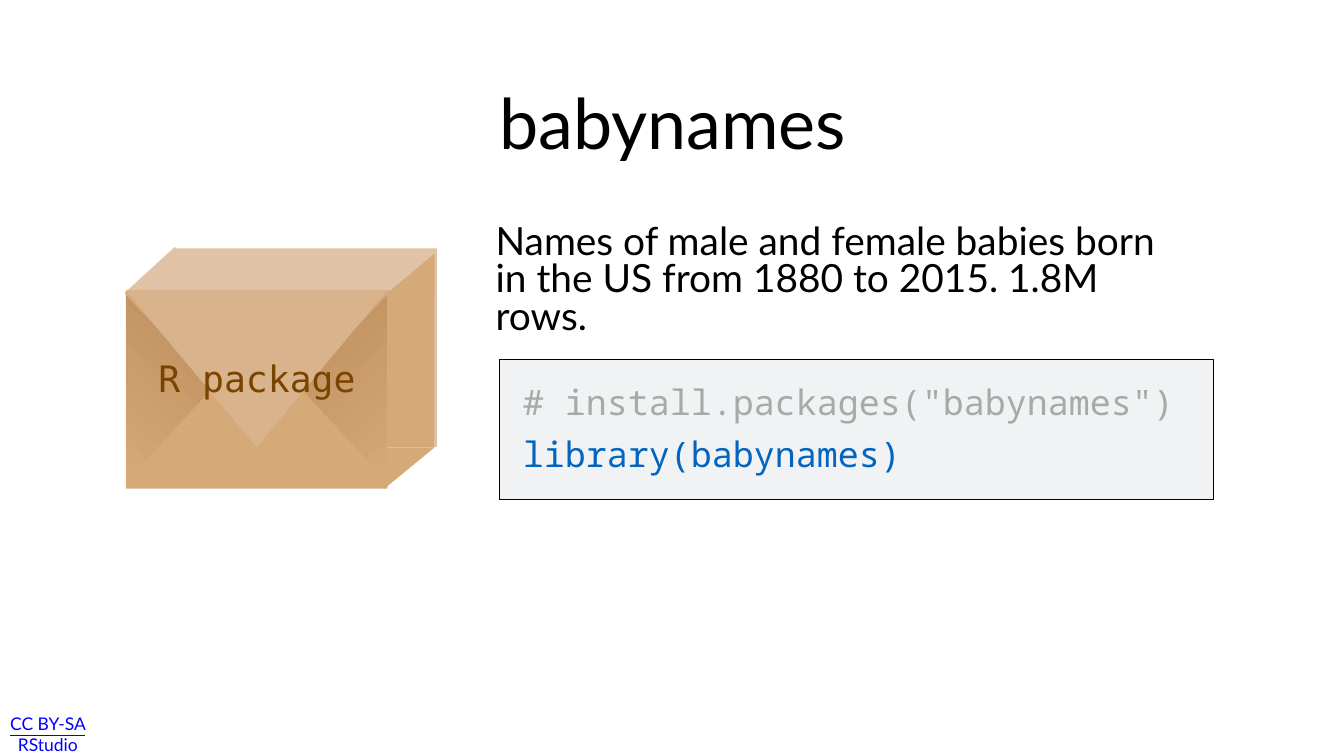
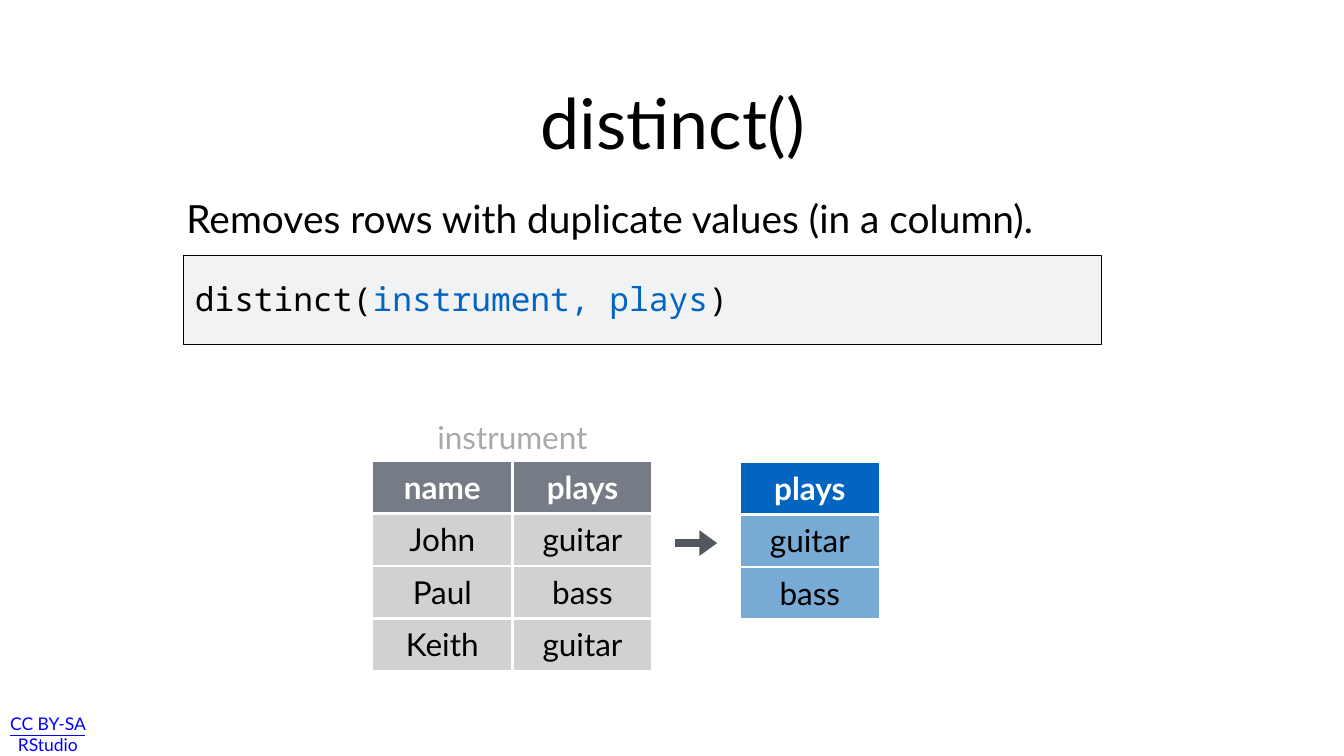
from lxml.etree import SubElement
from pptx import Presentation
from pptx.dml.color import RGBColor
from pptx.enum.shapes import MSO_SHAPE
from pptx.enum.text import MSO_ANCHOR, MSO_AUTO_SIZE, PP_ALIGN
from pptx.oxml.ns import qn
from pptx.util import Pt

PX = 9525
SLIDE_SIZE = (2560, 1440)

BLACK, WHITE, GREY, BLUE = "000000", "FFFFFF", "A6AAA9", "0365C0"
CODE_FILL, ARROW, LINK = "F0F2F4", "53585F", "0000FF"
CARDBOARD, CARDBOARD_LIGHT, FLAP, FLAP_SHADE = "D6A979", "E0C2A6", "D9B38C", "BD8E5E"
SANS, MONO, LABEL_MONO = "Lato", "Noto Sans Mono", "DejaVu Sans Mono"

TITLE_BOX = (422, 106, 1718, 252)
FOOTER = "CC BY-SA RStudio"
FOOTER_BOX = (12, 1369, 255, 58)
CELL_WIDTH, CELL_HEIGHT = 267, 100

PACKAGE = {
    "title": "babynames",
    "body": "Names of male and female babies born in the US from 1880 to 2015. 1.8M rows.",
    "body_box": (938, 423, 1313, 227),
    "line_spacing": 0.8,
    "code": [
        [('# install.packages("babynames")', GREY)],
        [("library(babynames)", BLUE)],
    ],
    "code_size": 50,
    "code_frame": (951, 684, 1360, 268),
    "code_box": (990, 718, 1394, 213),
}
DISTINCT = {
    "title": "distinct()",
    "body": "Removes rows with duplicate values (in a column).",
    "body_box": (349, 341, 1750, 150),
    "line_spacing": 1.0,
    "code": [[("distinct(", BLACK), ("instrument, plays", BLUE), (")", BLACK)]],
    "code_size": 47,
    "code_frame": (349, 486, 1749, 170),
    "code_box": (365, 524, 1655, 150),
}

CARTON_PARTS = [
    ("rectangle", (334, 473, 498, 378), CARDBOARD_LIGHT, 0),
    ("rectangle", (329, 553, 498, 299), CARDBOARD, 0),
    ("rectangle", (262, 498, 130, 125), CARDBOARD_LIGHT, 317.5),
    ("triangle", [(732, 852), (828, 852), (732, 931)], CARDBOARD, None),
    ("rectangle", (240, 553, 498, 378), CARDBOARD, 0),
    ("triangle", [(737, 563), (737, 916), (573, 739)], CARDBOARD, 130),
    ("triangle", [(240, 563), (240, 916), (404, 739)], CARDBOARD, 50),
    ("triangle", [(240, 553), (737, 553), (489, 852)], FLAP, None),
    ("triangle", [(828, 563), (732, 563), (828, 483)], CARDBOARD, None),
]
CARTON_LABEL_BOX = (201, 507, 577, 424)

INSTRUMENT = [("name", "plays"), ("John", "guitar"), ("Paul", "bass"), ("Keith", "guitar")]
PLAYS = [("plays",), ("guitar",), ("bass",)]
TABLES = [
    (INSTRUMENT, (709, 878), "767C85", "D0D1D2"),
    (PLAYS, (1409, 880), BLUE, "78AAD6"),
]


def color(value):
    return RGBColor.from_string(value)


def emu(lengths):
    return [round(length * PX) for length in lengths]


def write(frame, text, size, font=SANS, fill=BLACK, align=PP_ALIGN.LEFT, bold=False,
          underline=False, anchor=MSO_ANCHOR.MIDDLE, insets=(6, 6, 6, 6),
          line_spacing=1.0, space_between=0):
    frame.word_wrap = True
    frame.auto_size = MSO_AUTO_SIZE.NONE
    frame.vertical_anchor = anchor
    frame.margin_left, frame.margin_top, frame.margin_right, frame.margin_bottom = emu(insets)
    lines = [[(text, fill)]] if isinstance(text, str) else text
    for index, line in enumerate(lines):
        para = frame.add_paragraph() if index else frame.paragraphs[0]
        para.alignment = align
        para.line_spacing = line_spacing
        para.space_before = Pt(space_between if index else 0)
        for words, ink in line:
            span = para.add_run()
            span.text = words
            span.font.name = font
            span.font.size = Pt(size)
            span.font.bold = bold
            span.font.underline = underline
            span.font.color.rgb = color(ink)


def place(shape, box):
    shape.left, shape.top, shape.width, shape.height = emu(box)


def add_text(shapes, box, text, **style):
    write(shapes.add_textbox(*emu(box)).text_frame, text, **style)


def paint(shape, fill, outline=None):
    shape.shadow.inherit = False
    shape.fill.solid()
    shape.fill.fore_color.rgb = color(fill)
    if outline:
        shape.line.color.rgb = color(outline)
        shape.line.width = Pt(1)
    else:
        shape.line.fill.background()


def add_preset(shapes, kind, box, fill, outline=None):
    shape = shapes.add_shape(kind, *emu(box))
    paint(shape, fill, outline)
    return shape


def add_triangle(shapes, points, fill, shade_angle):
    builder = shapes.build_freeform(*points[0], scale=PX)
    builder.add_line_segments(points[1:], close=True)
    triangle = builder.convert_to_shape()
    paint(triangle, fill)
    if shade_angle is not None:
        triangle.fill.gradient()
        triangle.fill.gradient_angle = shade_angle
        for stop, shade in zip(triangle.fill.gradient_stops, (fill, FLAP_SHADE)):
            stop.color.rgb = color(shade)


def add_carton(page):
    carton = page.shapes.add_group_shape().shapes
    for kind, outline, fill, angle in CARTON_PARTS:
        if kind == "triangle":
            add_triangle(carton, outline, fill, angle)
        else:
            add_preset(carton, MSO_SHAPE.RECTANGLE, outline, fill).rotation = angle
    add_text(carton, CARTON_LABEL_BOX, "R package", size=52, font=LABEL_MONO,
             fill="7A4300", align=PP_ALIGN.CENTER, insets=(8, 8, 8, 8))


def add_borders(cell):
    properties = cell._tc.get_or_add_tcPr()
    for index, side in enumerate(("a:lnL", "a:lnR", "a:lnT", "a:lnB")):
        line = properties.makeelement(qn(side), {"w": str(Pt(4))})
        SubElement(SubElement(line, qn("a:solidFill")), qn("a:srgbClr"), val=WHITE)
        properties.insert(index, line)


def add_grid(page, rows, corner, head_fill, body_fill):
    columns = len(rows[0])
    box = (*corner, columns * CELL_WIDTH, len(rows) * CELL_HEIGHT)
    table = page.shapes.add_table(len(rows), columns, *emu(box)).table
    for row_index, row in enumerate(rows):
        head = row_index == 0
        for column_index, value in enumerate(row):
            cell = table.cell(row_index, column_index)
            cell.fill.solid()
            cell.fill.fore_color.rgb = color(head_fill if head else body_fill)
            add_borders(cell)
            write(cell.text_frame, value, size=45, fill=WHITE if head else BLACK,
                  bold=head, align=PP_ALIGN.CENTER)
            cell.vertical_anchor = MSO_ANCHOR.MIDDLE
            cell.margin_left, cell.margin_top, cell.margin_right, cell.margin_bottom = emu([6] * 4)


def add_page(deck, content):
    page = deck.slides.add_slide(deck.slide_layouts[1])
    title, body = page.placeholders
    place(title, TITLE_BOX)
    write(title.text_frame, content["title"], size=100, align=PP_ALIGN.CENTER)

    place(body, content["body_box"])
    properties = body.text_frame.paragraphs[0]._p.get_or_add_pPr()
    properties.set("marL", "0")
    properties.set("indent", "0")
    SubElement(properties, qn("a:buNone"))
    write(body.text_frame, content["body"], size=55.5, line_spacing=content["line_spacing"])

    add_preset(page.shapes, MSO_SHAPE.RECTANGLE, content["code_frame"], CODE_FILL, BLACK)
    add_text(page.shapes, content["code_box"], content["code"], size=content["code_size"],
             font=MONO, anchor=MSO_ANCHOR.TOP, space_between=15)
    add_text(page.shapes, FOOTER_BOX, FOOTER, size=25, fill=LINK, underline=True,
             align=PP_ALIGN.CENTER, insets=(0, 8, 97, 8))
    return page


def main():
    deck = Presentation()
    deck.slide_width, deck.slide_height = emu(SLIDE_SIZE)

    add_carton(add_page(deck, PACKAGE))

    page = add_page(deck, DISTINCT)
    for table in TABLES:
        add_grid(page, *table)
    add_text(page.shapes, (813, 784, 326, 96), "instrument", size=45, fill=GREY,
             align=PP_ALIGN.CENTER, insets=(8, 8, 8, 8))
    arrow = add_preset(page.shapes, MSO_SHAPE.RIGHT_ARROW, (1286, 1010, 80, 49), ARROW)
    arrow.adjustments[0], arrow.adjustments[1] = 0.3, 0.69

    deck.save("out.pptx")


if __name__ == "__main__":
    main()
